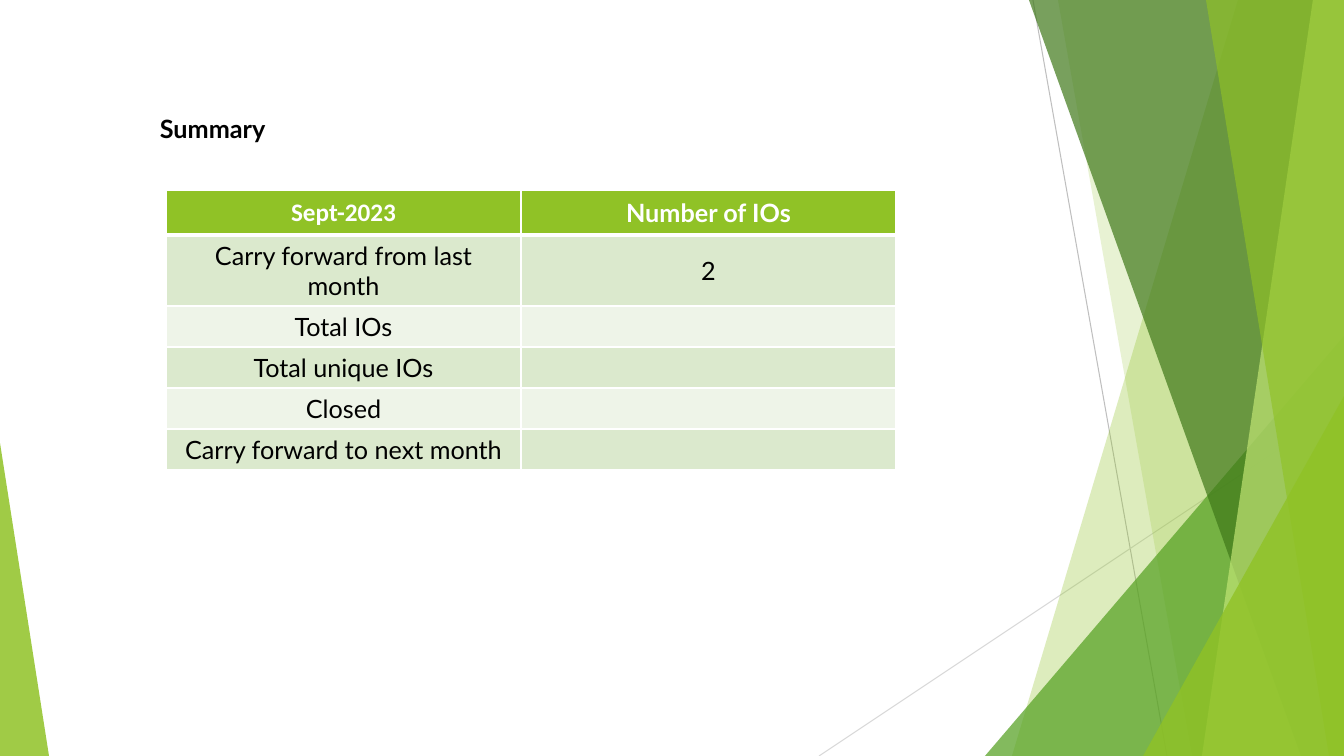
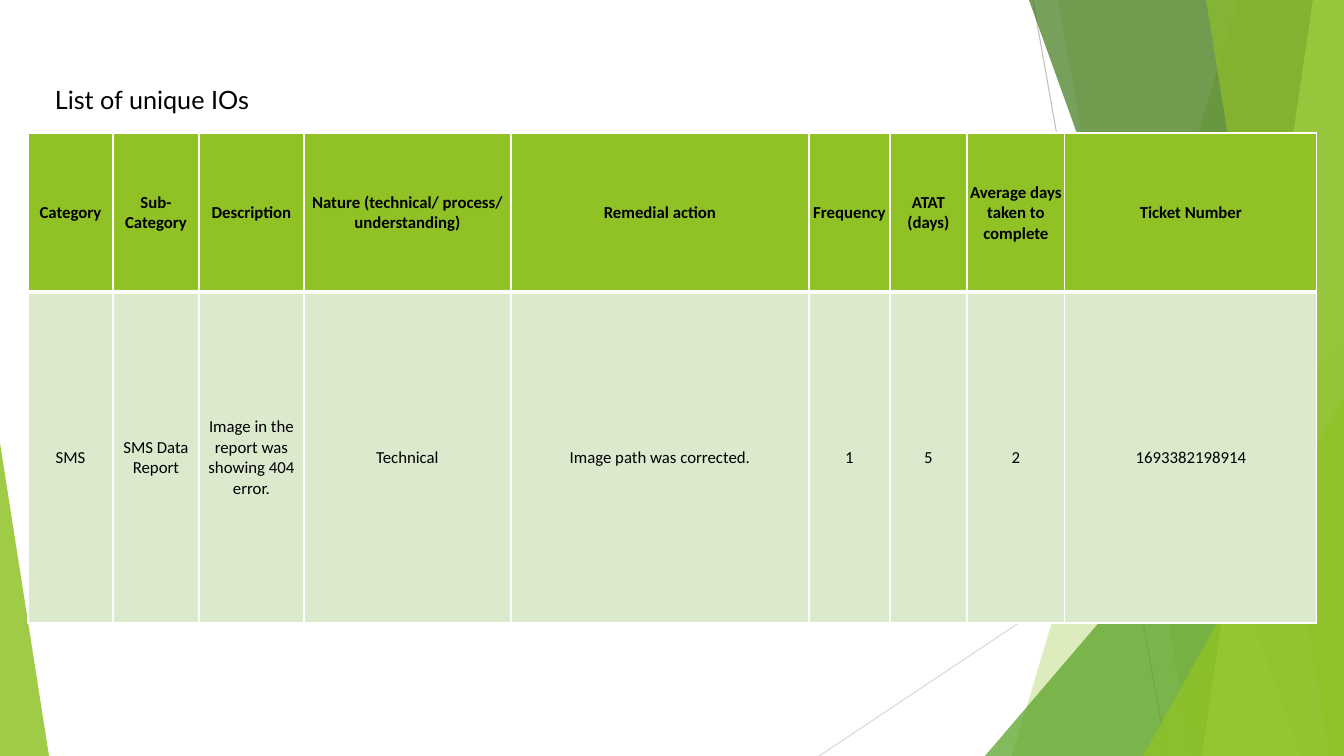
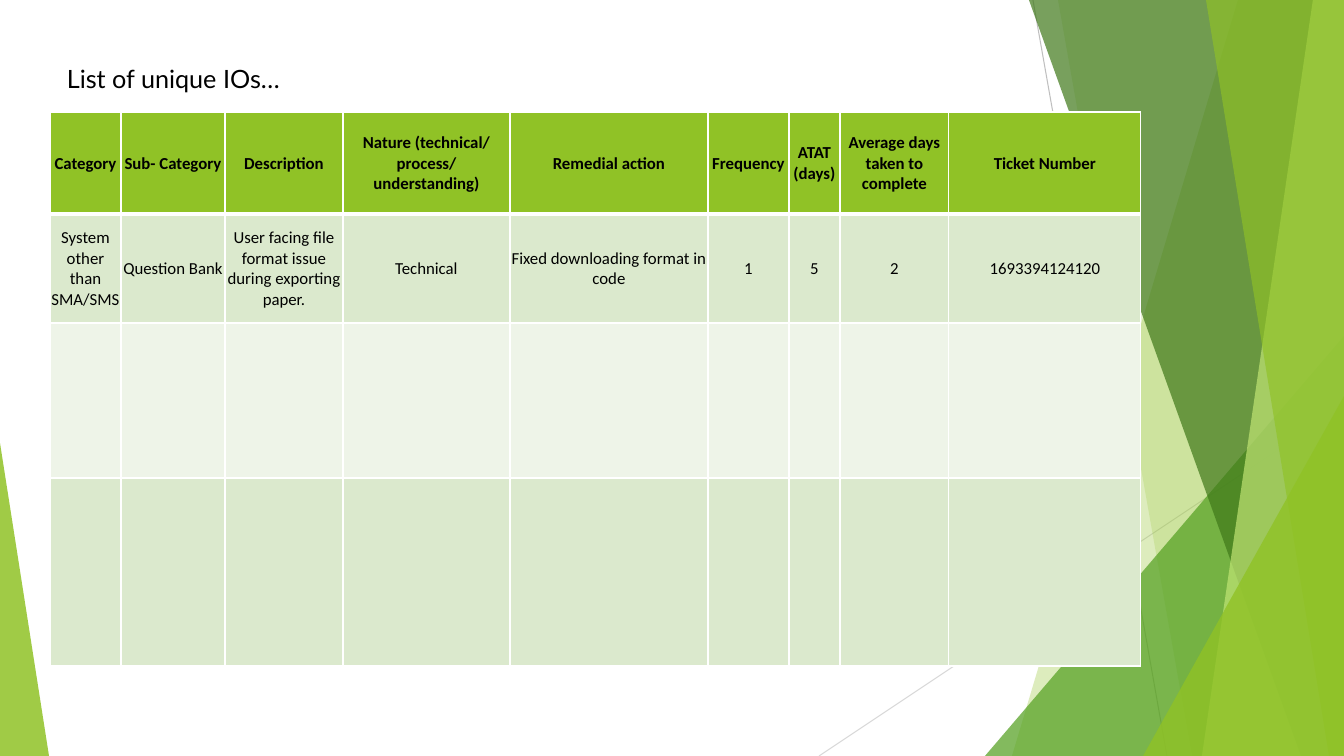
from dataclasses import dataclass

from lxml import etree
from pptx import Presentation
from pptx.dml.color import RGBColor
from pptx.enum.shapes import MSO_CONNECTOR, MSO_SHAPE
from pptx.enum.text import MSO_ANCHOR, MSO_AUTO_SIZE, PP_ALIGN
from pptx.oxml.ns import qn
from pptx.util import Pt

STRAIGHT = MSO_CONNECTOR.STRAIGHT
TRIANGLE = MSO_SHAPE.ISOSCELES_TRIANGLE
MIDDLE = MSO_ANCHOR.MIDDLE
GROW = MSO_AUTO_SIZE.SHAPE_TO_FIT_TEXT
LEFT, CENTER = PP_ALIGN.LEFT, PP_ALIGN.CENTER

PX = 914400 / 100.8
WIDTH, HEIGHT = 1344, 756


@dataclass(frozen=True)
class Theme:
    lime: str = "90C226"
    green: str = "54A021"
    forest: str = "3F7819"
    pale_lime: str = "C0E474"
    band_dark: str = "DBE9CD"
    band_light: str = "EEF4E8"
    white: str = "FFFFFF"
    black: str = "000000"
    grey: str = "BFBFBF"
    light_grey: str = "D9D9D9"
    heading_font: str = "Lato"
    table_font: str = "Calibri"
    large: int = 18
    small: int = 12
    hairline: float = 0.75
    grid: int = 1
    header_rule: int = 3


THEME = Theme()


def px(length):
    return round(length * PX)


def write_text(frame, text, font=THEME.heading_font, size=THEME.large,
               color=THEME.black, bold=False, align=LEFT):
    paragraph = frame.paragraphs[0]
    paragraph.alignment = align
    run = paragraph.add_run()
    run.text = text
    run.font.name = font
    run.font.size = Pt(size)
    run.font.bold = bold
    run.font.color.rgb = RGBColor.from_string(color)


prs = Presentation()
prs.slide_width, prs.slide_height = px(WIDTH), px(HEIGHT)
layout = prs.slide_layouts[6]
for placeholder in list(layout.placeholders):
    layout.shapes.element.remove(placeholder.element)

rays = [
    ((1033, 0), (1167, HEIGHT), THEME.grey),
    ((WIDTH, 406), (819, HEIGHT), THEME.light_grey),
]
panels = [
    ("band", (1238, 1012), THEME.lime, 30),
    ("band", (1058, 1192), THEME.lime, 20),
    ("corner", (985, 336, 359, 1), THEME.green, 72),
    ("band", (1029, 1301), THEME.forest, 70),
    ("band", (1313, 1202), THEME.pale_lime, 70),
    ("band", (1206, 1329), THEME.lime, 65),
    ("corner", (1143, 396, 201, 1), THEME.lime, 80),
    ("corner", (0, 443, 49, 0), THEME.lime, 85),
]

IO_COLUMNS = [
    "Category", "Sub- Category", "Description",
    "Nature (technical/ process/ understanding)", "Remedial action",
    "Frequency", "ATAT (days)", "Average days taken to complete",
    "Ticket Number",
]
EMPTY_IO = [""] * len(IO_COLUMNS)
IO_STYLE = dict(fonts=[THEME.table_font] * len(IO_COLUMNS), size=THEME.small,
                header_color=THEME.black, insets=(1, 1, 1, 0))

pages = [
    dict(
        title="Summary", title_box=(150, 108, 160, 40), title_bold=True, wrap=True,
        origin=(166, 190), columns=[355, 375], heights=[45, 71, 41, 41, 41, 41],
        rows=[
            ["Sept-2023", "Number of IOs"],
            ["Carry forward from last month", "2"],
            ["Total IOs", ""],
            ["Total unique IOs", ""],
            ["Closed", ""],
            ["Carry forward to next month", ""],
        ],
        fonts=[THEME.table_font, THEME.heading_font], size=THEME.large,
        header_color=THEME.white, insets=(10, 5, 10, 5),
    ),
    dict(
        title="List of unique IOs", title_box=(45, 79, 225, 40),
        title_bold=False, wrap=False,
        origin=(28, 133), columns=[85, 86, 105, 207, 298, 81, 77, 98, 252],
        heights=[159, 331],
        rows=[
            IO_COLUMNS,
            ["SMS", "SMS Data Report", "Image in the report was showing 404 error.",
             "Technical", "Image path was corrected.", "1", "5", "2",
             "1693382198914"],
        ],
        **IO_STYLE,
    ),
    dict(
        title="List of unique IOs…", title_box=(57, 58, 237, 40),
        title_bold=False, wrap=False,
        origin=(50, 112), columns=[71, 104, 118, 167, 198, 81, 51, 109, 192],
        heights=[102, 109, 155, 188],
        rows=[
            IO_COLUMNS,
            ["System other than SMA/SMS", "Question Bank",
             "User facing file format issue during exporting paper.",
             "Technical", "Fixed downloading format in code", "1", "5", "2",
             "1693394124120"],
            EMPTY_IO,
            EMPTY_IO,
        ],
        **IO_STYLE,
    ),
]

for page_number, page in enumerate(pages):
    slide = prs.slides.add_slide(layout)
    shapes = slide.shapes

    if page_number == 0:
        for start, end, color in rays:
            ray = shapes.add_connector(STRAIGHT, *map(px, start + end))
            ray.line.color.rgb = RGBColor.from_string(color)
            ray.line.width = Pt(THEME.hairline)
            etree.SubElement(ray.element.spPr, qn("a:effectLst"))

        for kind, geometry, color, opacity in panels:
            if kind == "band":
                top_x, bottom_x = geometry
                outline = shapes.build_freeform(top_x, 0, scale=PX)
                outline.add_line_segments(
                    [(WIDTH, 0), (WIDTH, HEIGHT), (bottom_x, HEIGHT)], close=True)
                panel = outline.convert_to_shape()
            else:
                left, top, width, apex = geometry
                panel = shapes.add_shape(
                    TRIANGLE, *map(px, (left, top, width, HEIGHT - top)))
                panel.adjustments[0] = apex
            panel.shadow.inherit = False
            panel.line.fill.background()
            panel.fill.solid()
            panel.fill.fore_color.rgb = RGBColor.from_string(color)
            tint = panel.element.spPr.find(".//" + qn("a:srgbClr"))
            etree.SubElement(tint, qn("a:alpha"), val=str(opacity * 1000))

        for decoration in list(shapes):
            layout.shapes.element.append(decoration.element)

    columns, heights, rows = page["columns"], page["heights"], page["rows"]
    table = shapes.add_table(
        len(rows), len(columns), *map(px, page["origin"]),
        px(sum(columns)), px(sum(heights))).table
    table.horz_banding = False
    for column, width in zip(table.columns, columns):
        column.width = px(width)

    for r, (texts, height) in enumerate(zip(rows, heights)):
        table.rows[r].height = px(height)
        is_header = r == 0
        if is_header:
            fill = THEME.lime
        else:
            fill = THEME.band_dark if r % 2 else THEME.band_light
        borders = {
            "a:lnL": THEME.grid,
            "a:lnR": THEME.grid,
            "a:lnT": THEME.header_rule if r == 1 else THEME.grid,
            "a:lnB": THEME.header_rule if is_header else THEME.grid,
        }
        for c, text in enumerate(texts):
            cell = table.cell(r, c)
            properties = cell._tc.get_or_add_tcPr()
            for side, weight in borders.items():
                border = etree.SubElement(properties, qn(side), w=str(Pt(weight)))
                paint = etree.SubElement(border, qn("a:solidFill"))
                etree.SubElement(paint, qn("a:srgbClr"), val=THEME.white)
            cell.fill.solid()
            cell.fill.fore_color.rgb = RGBColor.from_string(fill)
            cell.vertical_anchor = MIDDLE
            (cell.margin_left, cell.margin_top,
             cell.margin_right, cell.margin_bottom) = map(px, page["insets"])
            if text:
                write_text(
                    cell.text_frame, text,
                    font=page["fonts"][c if is_header else -1], size=page["size"],
                    color=page["header_color"] if is_header else THEME.black,
                    bold=is_header, align=CENTER)

    title = shapes.add_textbox(*map(px, page["title_box"])).text_frame
    title.word_wrap = page["wrap"]
    title.auto_size = GROW
    write_text(title, page["title"], bold=page["title_bold"])

prs.save("out.pptx")
